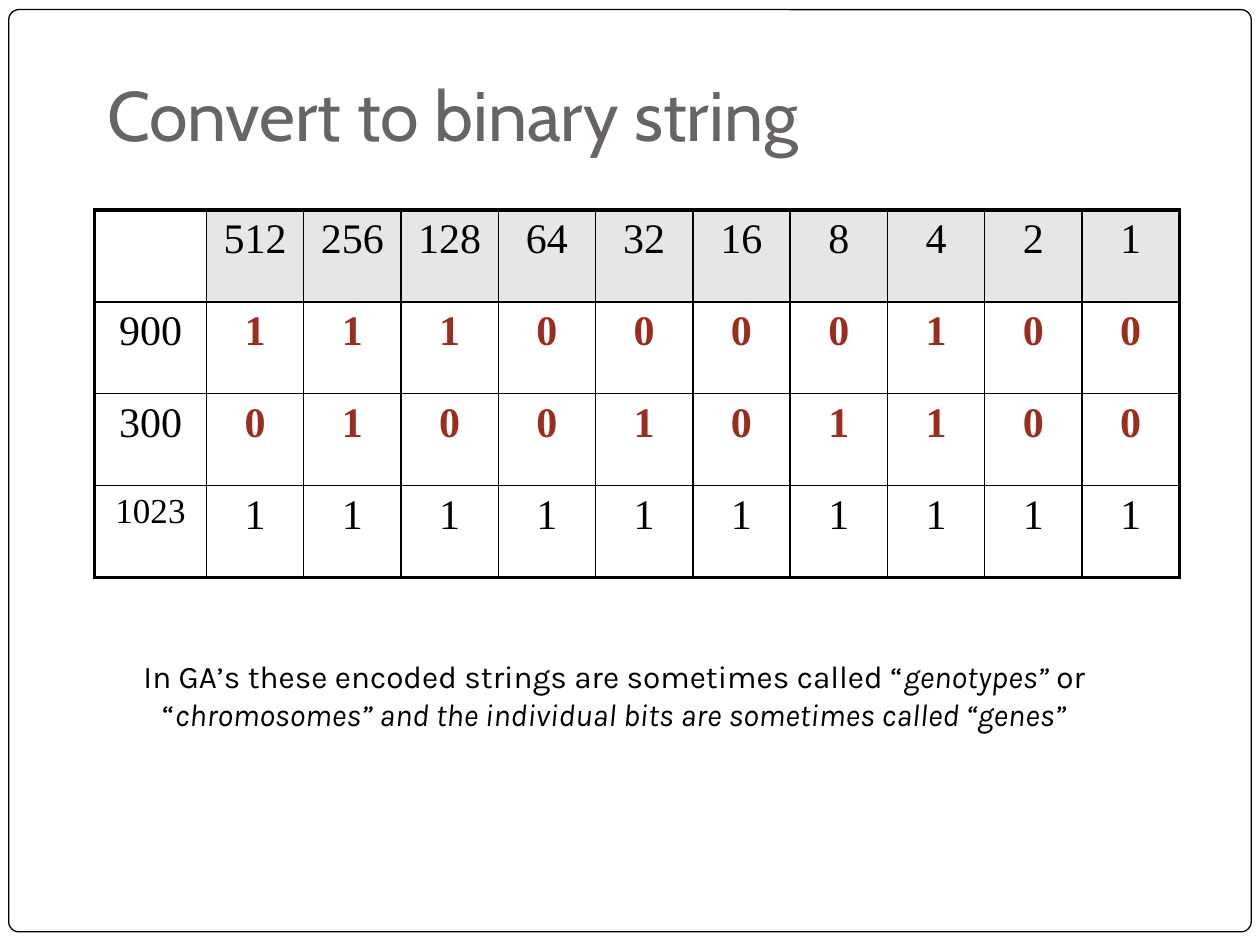
from pptx import Presentation
from pptx.dml.color import RGBColor as Rgb
from pptx.enum.shapes import MSO_SHAPE as Shape
from pptx.enum.text import MSO_ANCHOR as Anchor, PP_ALIGN as Align
from pptx.oxml.ns import qn
from pptx.util import Pt
from lxml.etree import SubElement as Sub

HEX = {"ink": "000000", "paper": "FFFFFF", "title": "696464",
       "head": "E6E6E6", "gene": "9B2D1F"}
PLACES = [2 ** n for n in range(9, -1, -1)]
NUMBERS = [900, 300, 1023]
NOTE = [("In GA’s these encoded strings are sometimes called “", False),
        ("genotypes”", True),
        (" or “", False),
        ("chromosomes” and the individual bits are sometimes called “genes”",
         True)]


class Deck:
    def __init__(self, wide, high):
        self.prs = Presentation()
        self.prs.slide_width, self.prs.slide_height = Pt(wide), Pt(high)
        self.slide = self.prs.slides.add_slide(self.prs.slide_layouts[5])
        self.shapes = self.slide.shapes

    def color(self, name):
        return Rgb.from_string(HEX[name])

    def add_text(self, para, text, color="ink", **form):
        run = para.add_run()
        run.text = text
        for key, val in form.items():
            setattr(run.font, key, val)
        run.font.color.rgb = self.color(color)

    def frame(self, x, y, w, h, round_by):
        """Add a rounded border behind everything else."""
        box = self.shapes.add_shape(Shape.ROUNDED_RECTANGLE,
                                    Pt(x), Pt(y), Pt(w), Pt(h))
        box.adjustments[0] = round_by
        box.shadow.inherit = False
        box.fill.solid()
        box.fill.fore_color.rgb = self.color("paper")
        box.line.color.rgb = self.color("ink")
        box.line.width = Pt(0.75)
        self.shapes.title._element.addprevious(box._element)

    def title(self, text, x, y, w, h):
        box = self.shapes.title
        spot = {"left": x, "top": y, "width": w, "height": h}
        for key, val in spot.items():
            setattr(box, key, Pt(val))
        body = box.text_frame
        body.vertical_anchor = Anchor.BOTTOM
        body.margin_bottom = Pt(7.2)
        para = body.paragraphs[0]
        para.alignment = Align.LEFT
        self.add_text(para, text, "title", size=Pt(40), name="Cabin")

    def note(self, runs, x, y, w, h):
        body = self.shapes.add_textbox(Pt(x), Pt(y), Pt(w), Pt(h)).text_frame
        body.word_wrap = True
        para = body.paragraphs[0]
        para.alignment = Align.CENTER
        for text, slant in runs:
            self.add_text(para, text, size=Pt(18), name="Karla", italic=slant)

    def edge(self, cell, side, width):
        line = Sub(cell._tc.get_or_add_tcPr(), qn(f"a:ln{side}"),
                   w=str(Pt(width)))
        fill = Sub(line, qn("a:solidFill"))
        Sub(fill, qn("a:srgbClr"), val=HEX["ink"])

    def cell(self, cell, text, outer, fill=None, **form):
        """Fill one cell; sides named in outer get the thick border."""
        for side in "LRTB":
            self.edge(cell, side, 2.25 if side in outer else 1)
        if fill:
            cell.fill.solid()
            cell.fill.fore_color.rgb = self.color(fill)
        else:
            cell.fill.background()
        para = cell.text_frame.paragraphs[0]
        para.alignment = Align.CENTER
        if text:
            self.add_text(para, text, name="Times New Roman", **form)

    def bits(self, x, y, first, step, high):
        """Add the table of numbers and their binary digits."""
        rows, cols = len(NUMBERS) + 1, len(PLACES) + 1
        grid = self.shapes.add_table(rows, cols, Pt(x), Pt(y),
                                     Pt(first + step * len(PLACES)),
                                     Pt(high * rows)).table
        grid.first_row = grid.horz_banding = False
        for c, col in enumerate(grid.columns):
            col.width = Pt(step if c else first)
        for row in grid.rows:
            row.height = Pt(high)

        data = [["", *PLACES]]
        data += [[num, *f"{num:010b}"] for num in NUMBERS]
        for r, line in enumerate(data):
            for c, val in enumerate(line):
                ends = {"L": c == 0, "R": c == cols - 1,
                        "T": r == 0, "B": r == rows - 1}
                gene = c > 0 and 0 < r < rows - 1
                self.cell(grid.cell(r, c), str(val),
                          [side for side in ends if ends[side]],
                          fill="head" if r == 0 and c else None,
                          color="gene" if gene else "ink", bold=gene,
                          size=Pt(20 if val == 1023 else 24))


def main():
    deck = Deck(720, 540)
    deck.frame(5, 5.5, 710, 527, 0.011)
    deck.title("Convert to binary string", 54, 18, 612, 78)
    deck.bits(54, 120, 64, 55.6, 52.5)
    deck.note(NOTE, 54, 372, 594, 93.6)
    deck.prs.save("out.pptx")


if __name__ == "__main__":
    main()
